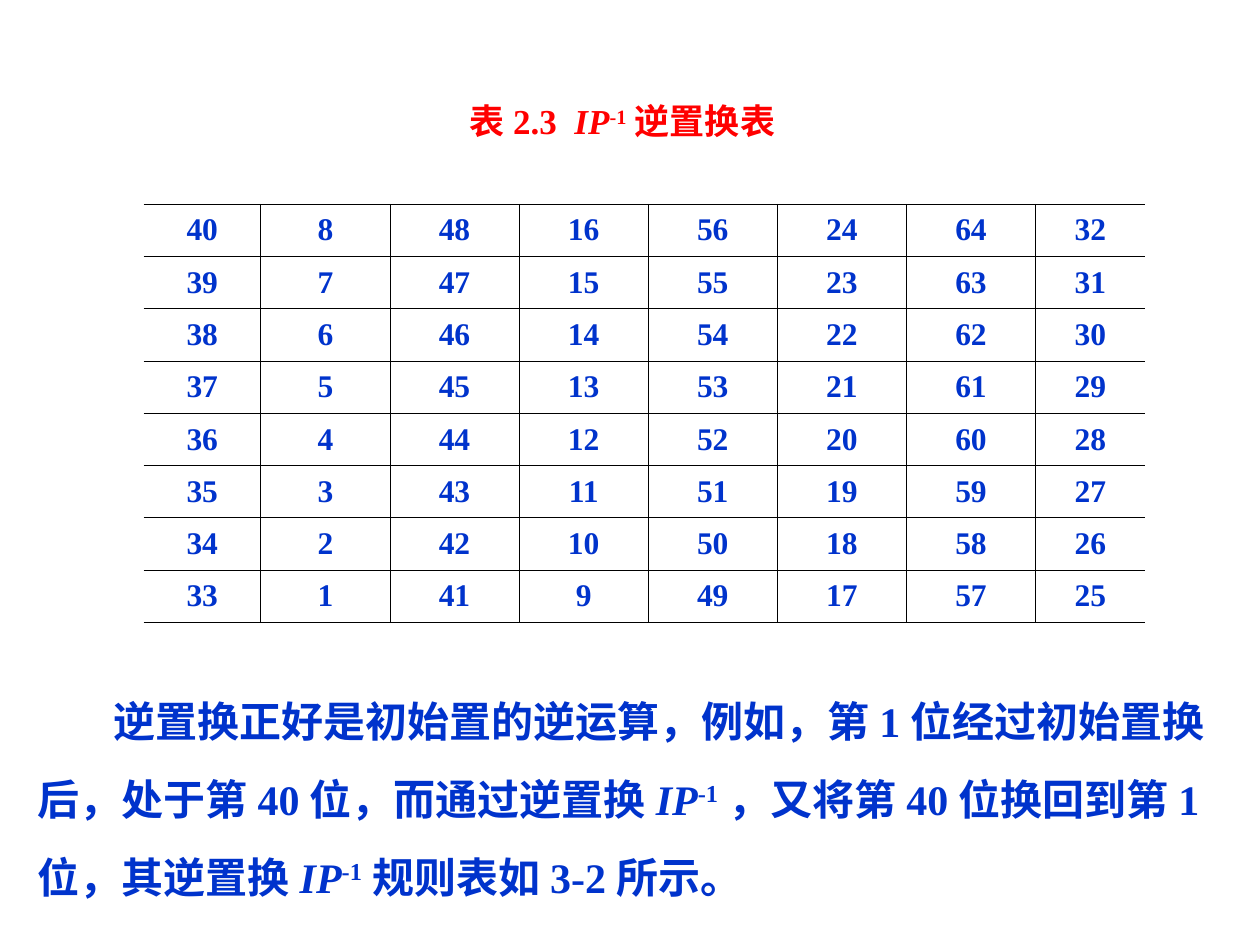
import pptx
import pptx.util
import pptx.dml.color
import pptx.enum.text
import pptx.oxml
import pptx.oxml.ns

Inch = pptx.util.Inches
Align = pptx.enum.text.PP_ALIGN
Middle = pptx.enum.text.MSO_ANCHOR.MIDDLE
BLUE, RED, BLACK = "0033CC", "FF0000", "000000"


def style(para, size, tint):
    font = para.font
    font.name = "Times New Roman"
    font.size = pptx.util.Pt(size)
    font.bold = True
    font.color.rgb = pptx.dml.color.RGBColor.from_string(tint)


def write(para, parts):
    for part in parts:
        run = para.add_run()
        run.text = part
        if part == "IP":
            run.font.italic = True
        elif part == "-1":
            run._r.get_or_add_rPr().set("baseline", "30000")


deck = pptx.Presentation()
deck.slide_width, deck.slide_height = Inch(10), Inch(7.5)
slide = deck.slides.add_slide(deck.slide_layouts[5])

title = slide.shapes.title
title.left, title.top = Inch(0.27), Inch(0.76)
title.width, title.height = Inch(9.34), Inch(0.4)
frame = title.text_frame
frame.auto_size = pptx.enum.text.MSO_AUTO_SIZE.NONE
frame.vertical_anchor = Middle
frame.margin_top = frame.margin_bottom = 0
para = frame.paragraphs[0]
para.alignment = Align.CENTER
style(para, 20, RED)
write(para, ["表2.3  ", "IP", "-1", "逆置换表"])

note = slide.shapes.add_textbox(Inch(0.2), Inch(5.25), Inch(9.69), Inch(1.96))
frame = note.text_frame
frame.word_wrap = True
frame.auto_size = pptx.enum.text.MSO_AUTO_SIZE.SHAPE_TO_FIT_TEXT
para = frame.paragraphs[0]
para.line_spacing = 1.55
para._p.get_or_add_pPr().set("indent", str(Inch(0.6)))
style(para, 24, BLUE)
write(para, [
    "逆置换正好是初始置的逆运算，例如，第1位经过初始置换后，处于第40位，而通过逆置换",
    "IP", "-1", "，又将第40位换回到第1位，其逆置换",
    "IP", "-1", "规则表如3-2所示。",
])

count = 8
grid = slide.shapes.add_table(
    count, count, Inch(1.14), Inch(1.62), Inch(7.96), Inch(3.32)).table
grid.first_row = grid.horz_banding = False
for col in grid.columns:
    col.width = Inch(1.025)
grid.columns[0].width = Inch(0.93)
grid.columns[count - 1].width = Inch(0.87)

for row in range(count):
    for col in range(count):
        cell = grid.cell(row, col)
        start = 8 if col % 2 else 40
        cell.text = str(start + 8 * (col // 2) - row)
        cell.vertical_anchor = Middle
        para = cell.text_frame.paragraphs[0]
        para.alignment = Align.CENTER
        style(para, 18, BLUE)
        bare = {0: "L", count - 1: "R"}.get(col)
        for side in "LRTB":
            paint = ("<a:noFill/>" if side == bare else
                     f'<a:solidFill><a:srgbClr val="{BLACK}"/></a:solidFill>')
            cell._tc.get_or_add_tcPr().append(pptx.oxml.parse_xml(
                f'<a:ln{side} {pptx.oxml.ns.nsdecls("a")} '
                f'w="{pptx.util.Pt(0.45)}">{paint}</a:ln{side}>'))
        cell.fill.background()

deck.save("out.pptx")
